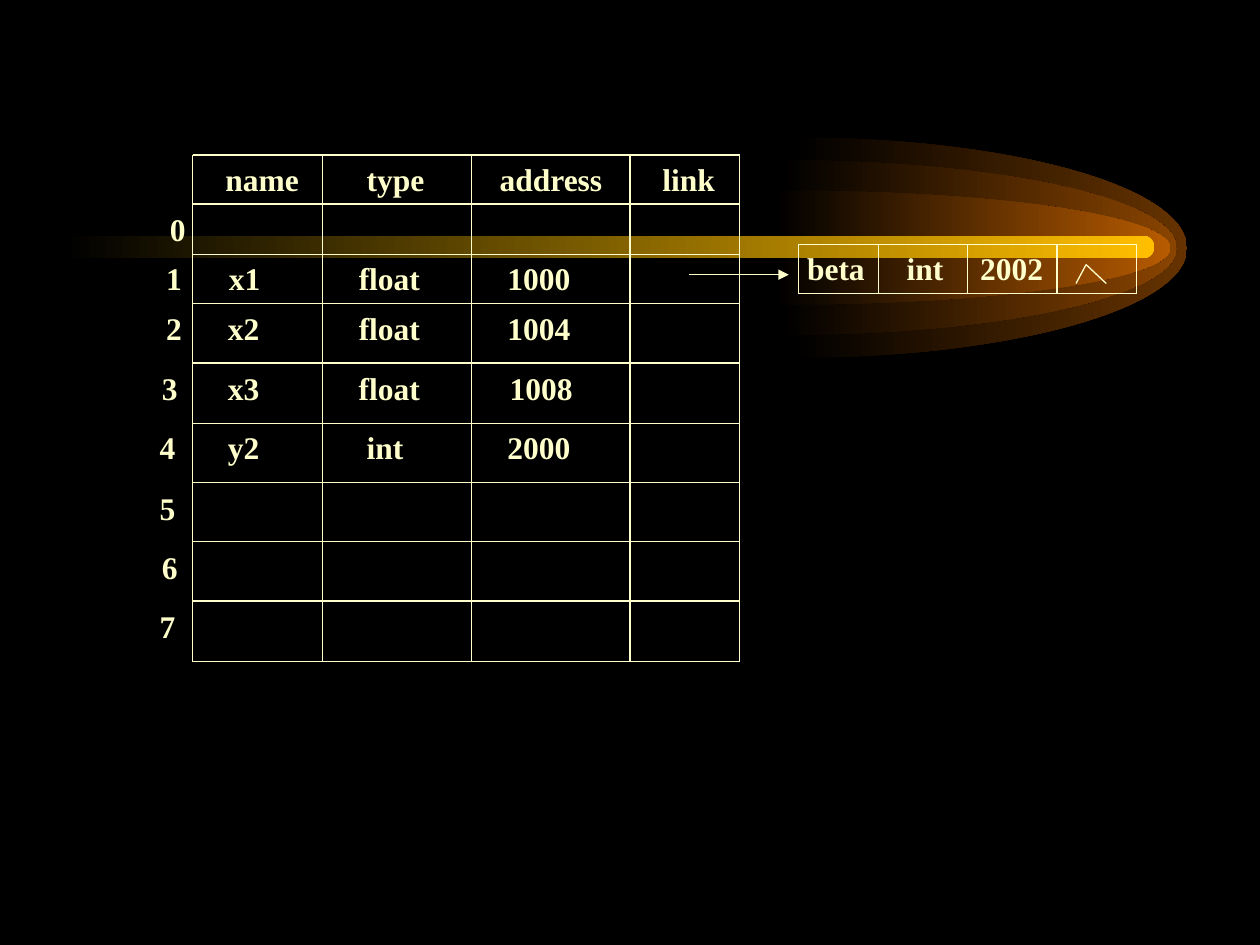
import pptx
import pptx.dml.color
import pptx.enum.shapes
import pptx.enum.text
import pptx.oxml
import pptx.oxml.ns
import pptx.util
from pptx.util import Inches

RGBColor = pptx.dml.color.RGBColor
BLACK = RGBColor(0x00, 0x00, 0x00)
CREAM = RGBColor(0xFF, 0xFF, 0xCC)
GOLD = RGBColor(0xFF, 0xBF, 0x00)
BROWN = RGBColor(0x66, 0x33, 0x00)
RUST = RGBColor(0x89, 0x44, 0x00)
ORANGE = RGBColor(0xB7, 0x5B, 0x00)

# Left, top, height and end colour of each half ellipse
GLOWS = [(6.29, 1.09, 1.75, BROWN), (6.21, 1.27, 1.39, RUST), (6.16, 1.51, 0.91, ORANGE)]
GLOW_WIDTH = 3.13

# Edges of the symbol table and of the overflow node
TABLE_X = [1.53, 2.56, 3.74, 5.0, 5.87]
TABLE_Y = [1.23, 1.62, 2.02, 2.41, 2.88, 3.36, 3.83, 4.3, 4.77, 5.25]
NODE_X = [6.34, 6.97, 7.68, 8.39, 9.02]
NODE_Y = [1.94, 2.33]

# Rows of (text, left, width, indent steps), keyed by the top of the row
ROWS = {
    1.22: [("name", 1.69, 1.02, 0), ("type", 2.56, 1.18, 4),
           ("address", 3.74, 1.26, 2), ("link", 5.16, 0.87, 0)],
    1.62: [("0", 1.25, 0.44, 0)],
    2.01: [("1", 1.22, 0.39, 0), ("x1", 1.53, 1.1, 3),
           ("float", 2.56, 1.18, 3), ("1000", 3.74, 1.26, 3)],
    2.4: [("2", 1.22, 0.31, 0), ("x2", 1.46, 1.1, 4),
          ("float", 2.56, 1.18, 3), ("1004", 3.74, 1.26, 3)],
    2.88: [("3", 1.06, 0.47, 2), ("x3", 1.46, 1.1, 4),
           ("float", 2.56, 1.26, 3), ("1008", 3.82, 1.26, 2)],
    3.35: [("4", 0.98, 0.55, 3), ("y2", 1.46, 1.1, 4),
           ("int", 2.56, 1.26, 4), ("2000", 3.74, 1.26, 3)],
    3.83: [("5", 0.98, 0.55, 3)],
    4.3: [("6", 1.06, 0.47, 2)],
    4.77: [("7", 0.98, 0.63, 3)],
    1.93: [("beta", 6.18, 0.79, 2), ("int", 6.97, 0.79, 2), ("2002", 7.68, 0.71, 0)],
}
TEXT_HEIGHT = 0.4
INDENT_STEP = pptx.util.Pt(4.5)

LINK_ARROW = (5.47, 2.18, 6.26, 2.18)
NULL_MARK = [(8.62, 2.1, 8.54, 2.25), (8.62, 2.1, 8.78, 2.25)]

# Share of a radius at which a cubic curve's handle follows an ellipse
HANDLE = 0.55


def fill_with_fade(shape, end_color):
    """Fade from black on the left to end_color on the right."""
    shape.shadow.inherit = False
    shape.line.fill.background()
    shape.fill.gradient()
    shape.fill.gradient_angle = 0
    for stop, position, color in zip(shape.fill.gradient_stops, (0, 1), (BLACK, end_color)):
        stop.position = position
        stop.color.rgb = color


def curve_xml(*points):
    pairs = "".join(f'<a:pt x="{round(x)}" y="{round(y)}"/>' for x, y in points)
    return (f'<a:cubicBezTo {pptx.oxml.ns.nsdecls("a")}>{pairs}</a:cubicBezTo>')


def add_glow(shapes, left, top, height, color):
    """Draw a half ellipse, rounding a triangle's two outer sides into curves."""
    builder = shapes.build_freeform(100 * left, 100 * top, scale=Inches(1) / 100)
    builder.add_line_segments([
        (100 * (left + GLOW_WIDTH), 100 * (top + height / 2)),
        (100 * left, 100 * (top + height))])
    glow = builder.convert_to_shape()
    path = glow._element.spPr.find(".//" + pptx.oxml.ns.qn("a:path"))
    w, h = int(path.get("w")), int(path.get("h"))
    rise = h / 2 * (1 - HANDLE)
    curves = [
        curve_xml((w * HANDLE, 0), (w, rise), (w, h / 2)),
        curve_xml((w, h - rise), (w * HANDLE, h), (0, h)),
    ]
    sides = path.findall(pptx.oxml.ns.qn("a:lnTo"))
    for side, curve in zip(sides, curves):
        path.replace(side, pptx.oxml.parse_xml(curve))
    fill_with_fade(glow, color)


def add_line(shapes, x1, y1, x2, y2, arrow=False):
    line = shapes.add_connector(
        pptx.enum.shapes.MSO_CONNECTOR.STRAIGHT,
        Inches(x1), Inches(y1), Inches(x2), Inches(y2))
    line.line.color.rgb = CREAM
    line.line.width = pptx.util.Pt(0.75)
    if arrow:
        head = pptx.oxml.parse_xml(
            f'<a:tailEnd {pptx.oxml.ns.nsdecls("a")} type="triangle"/>')
        line.line._get_or_add_ln().append(head)
    line._element.spPr.append(
        pptx.oxml.parse_xml(f'<a:effectLst {pptx.oxml.ns.nsdecls("a")}/>'))


def add_grid(shapes, xs, ys):
    for y in ys:
        add_line(shapes, xs[0], y, xs[-1], y)
    for x in xs:
        add_line(shapes, x, ys[0], x, ys[-1])


def add_text(shapes, text, left, top, width, steps):
    box = shapes.add_textbox(Inches(left), Inches(top), Inches(width), Inches(TEXT_HEIGHT))
    frame = box.text_frame
    frame.word_wrap = True
    frame.auto_size = pptx.enum.text.MSO_AUTO_SIZE.SHAPE_TO_FIT_TEXT
    frame.margin_left = Inches(0.1) + steps * INDENT_STEP
    run = frame.paragraphs[0].add_run()
    run.text = text
    run.font.name = "Times New Roman"
    run.font.size = pptx.util.Pt(18)
    run.font.bold = True
    run.font.color.rgb = CREAM


def main():
    presentation = pptx.Presentation()
    presentation.slide_width = Inches(10)
    presentation.slide_height = Inches(7.5)
    slide = presentation.slides.add_slide(presentation.slide_layouts[6])
    slide.background.fill.solid()
    slide.background.fill.fore_color.rgb = BLACK
    shapes = slide.shapes

    for glow in GLOWS:
        add_glow(shapes, *glow)
    beam = shapes.add_shape(
        pptx.enum.shapes.MSO_SHAPE.ROUNDED_RECTANGLE,
        Inches(0.5), Inches(1.87), Inches(8.66), Inches(0.18))
    beam.adjustments[0] = 0.5
    fill_with_fade(beam, GOLD)

    add_grid(shapes, TABLE_X, TABLE_Y)
    add_grid(shapes, NODE_X, NODE_Y)
    add_line(shapes, *LINK_ARROW, arrow=True)
    for stroke in NULL_MARK:
        add_line(shapes, *stroke)

    for top, cells in ROWS.items():
        for text, left, width, steps in cells:
            add_text(shapes, text, left, top, width, steps)

    presentation.save("out.pptx")


if __name__ == "__main__":
    main()
